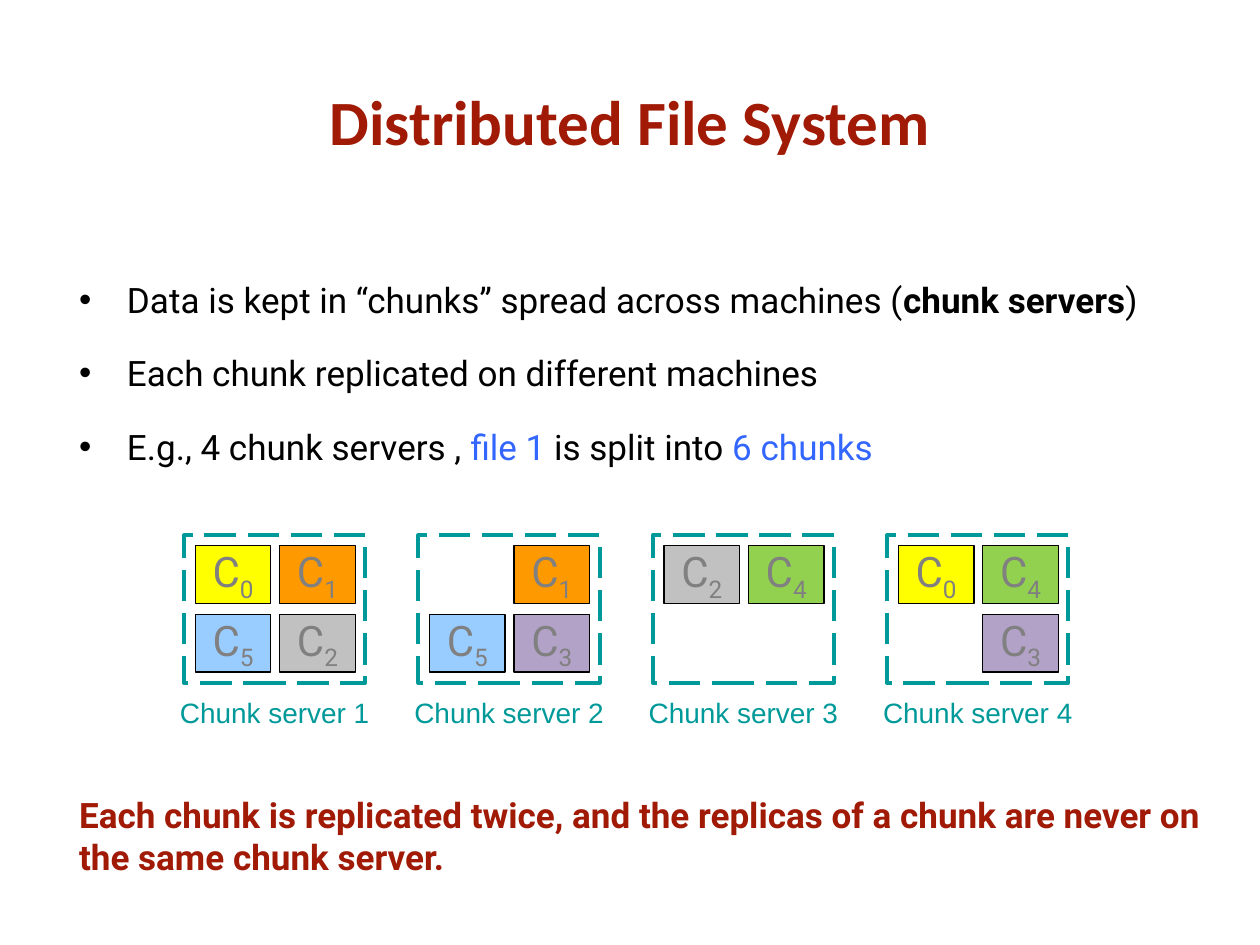
import pptx
import pptx.dml.color
import pptx.enum.dml
import pptx.enum.shapes
import pptx.enum.text
import pptx.oxml.ns
import pptx.util
from lxml import etree

ALIGN = pptx.enum.text.PP_ALIGN
ANCHOR = pptx.enum.text.MSO_ANCHOR

# The slide is a grid of 100 columns by 75 rows.
COLUMNS, ROWS = 100, 75
CELL = pptx.util.Inches(0.1)

RED, TEAL, BLUE = "A01A06", "009999", "3366FF"
CHUNK_COLORS = ["FFFF00", "FF9900", "C1C1C1", "B3A2C7", "92D050", "99CCFF"]

# Chunk numbers in each server, by row; None is a free place.
SERVERS = [
    [[0, 1], [5, 2]],
    [[None, 1], [5, 3]],
    [[2, 4], [None, None]],
    [[0, 4], [None, 3]],
]
SERVER_LEFT, SERVER_TOP, SERVER_PITCH = 14.6, 42.5, 18.6
SERVER_SIZE = (14.4, 11.7)
CHUNK_MARGIN = (0.9, 0.8)
CHUNK_PITCH = (6.7, 5.45)
CHUNK_SIZE = (6, 4.6)

POINTS = [
    [("Data is kept in “chunks” spread across machines (", {}),
     ("chunk servers", {"bold": True}), (")", {})],
    [("Each chunk replicated on different machines", {})],
    [("E.g., 4 chunk servers , ", {}), ("file 1", {"color": BLUE}),
     (" is split into ", {}), ("6 chunks", {"color": BLUE})],
]
CONCLUSION = ("Each chunk is replicated twice, and the replicas of a chunk "
              "are never on the same chunk server.")


def rgb(hex_color):
    return pptx.dml.color.RGBColor.from_string(hex_color)


def grid(*cells):
    """Turn grid columns and rows into lengths."""
    return [round(cell * CELL) for cell in cells]


def add_bullet(paragraph):
    properties = paragraph._p.get_or_add_pPr()
    indent = pptx.util.Inches(0.38)
    properties.set("marL", str(indent))
    properties.set("indent", str(-indent))
    qn = pptx.oxml.ns.qn
    color = etree.SubElement(properties, qn("a:buClr"))
    etree.SubElement(color, qn("a:srgbClr"), val="000000")
    etree.SubElement(properties, qn("a:buFont"), typeface="Arial")
    etree.SubElement(properties, qn("a:buChar"), char="•")


def add_run(paragraph, text, size, font, color, bold=False, baseline=0):
    run = paragraph.add_run()
    run.text = text
    run.font.size = pptx.util.Pt(size)
    run.font.name = font
    run.font.bold = bold
    run.font.color.rgb = rgb(color)
    if baseline:
        run._r.get_or_add_rPr().set("baseline", str(baseline * 1000))


def write(frame, paragraphs, align=ALIGN.LEFT, anchor=ANCHOR.TOP, wrap=True,
          bullets=False, space_after=0, **run_format):
    """Fill a frame; each paragraph is a list of (text, format changes)."""
    frame.word_wrap = wrap
    frame.vertical_anchor = anchor
    for index, runs in enumerate(paragraphs):
        paragraph = frame.add_paragraph() if index else frame.paragraphs[0]
        paragraph.alignment = align
        paragraph.space_after = pptx.util.Pt(space_after)
        if bullets:
            add_bullet(paragraph)
        for text, changes in runs:
            add_run(paragraph, text, **{**run_format, **changes})


def add_text(slide, place, paragraphs, **text_format):
    textbox = slide.shapes.add_textbox(*grid(*place))
    write(textbox.text_frame, paragraphs, **text_format)


def add_box(slide, place, line, width, fill=None, dash=None):
    box = slide.shapes.add_shape(
        pptx.enum.shapes.MSO_SHAPE.RECTANGLE, *grid(*place))
    box.shadow.inherit = False
    if fill:
        box.fill.solid()
        box.fill.fore_color.rgb = rgb(fill)
    else:
        box.fill.background()
    box.line.color.rgb = rgb(line)
    box.line.width = pptx.util.Pt(width)
    if dash:
        box.line.dash_style = dash
    return box


def add_chunk(slide, left, top, number):
    chunk = add_box(slide, (left, top, *CHUNK_SIZE), "000000", 0.75,
                    fill=CHUNK_COLORS[number])
    frame = chunk.text_frame
    frame.margin_left = frame.margin_right = 0
    frame.margin_top = frame.margin_bottom = 0
    write(frame, [[("C", {}), (str(number), {"baseline": -25})]],
          align=ALIGN.CENTER, size=24, font="Roboto", color="808080")


def add_server(slide, index, chunk_rows):
    left = SERVER_LEFT + index * SERVER_PITCH
    add_box(slide, (left, SERVER_TOP, *SERVER_SIZE), TEAL, 2.25,
            dash=pptx.enum.dml.MSO_LINE.LONG_DASH)
    add_text(slide, (left - 1.3, SERVER_TOP + 12.2, 17.1, 3.7),
             [[(f"Chunk server {index + 1}", {})]],
             wrap=False, size=16, font="Arial", color=TEAL)
    for row, numbers in enumerate(chunk_rows):
        for column, number in enumerate(numbers):
            if number is not None:
                add_chunk(slide,
                          left + CHUNK_MARGIN[0] + column * CHUNK_PITCH[0],
                          SERVER_TOP + CHUNK_MARGIN[1] + row * CHUNK_PITCH[1],
                          number)


def main():
    deck = pptx.Presentation()
    deck.slide_width, deck.slide_height = grid(COLUMNS, ROWS)
    slide = deck.slides.add_slide(deck.slide_layouts[6])

    add_text(slide, (7.5, 3.3, 85, 12.5), [[("Distributed File System", {})]],
             align=ALIGN.CENTER, anchor=ANCHOR.MIDDLE,
             size=36, font="Calibri", color=RED, bold=True)
    add_text(slide, (5.3, 21.6, 92.7, 18), POINTS, bullets=True,
             space_after=18, size=20, font="Roboto", color="000000")
    for index, chunk_rows in enumerate(SERVERS):
        add_server(slide, index, chunk_rows)
    add_text(slide, (5.3, 62.5, 92.7, 8), [[(CONCLUSION, {})]],
             size=20, font="Roboto", color=RED, bold=True)

    deck.save("out.pptx")


if __name__ == "__main__":
    main()
